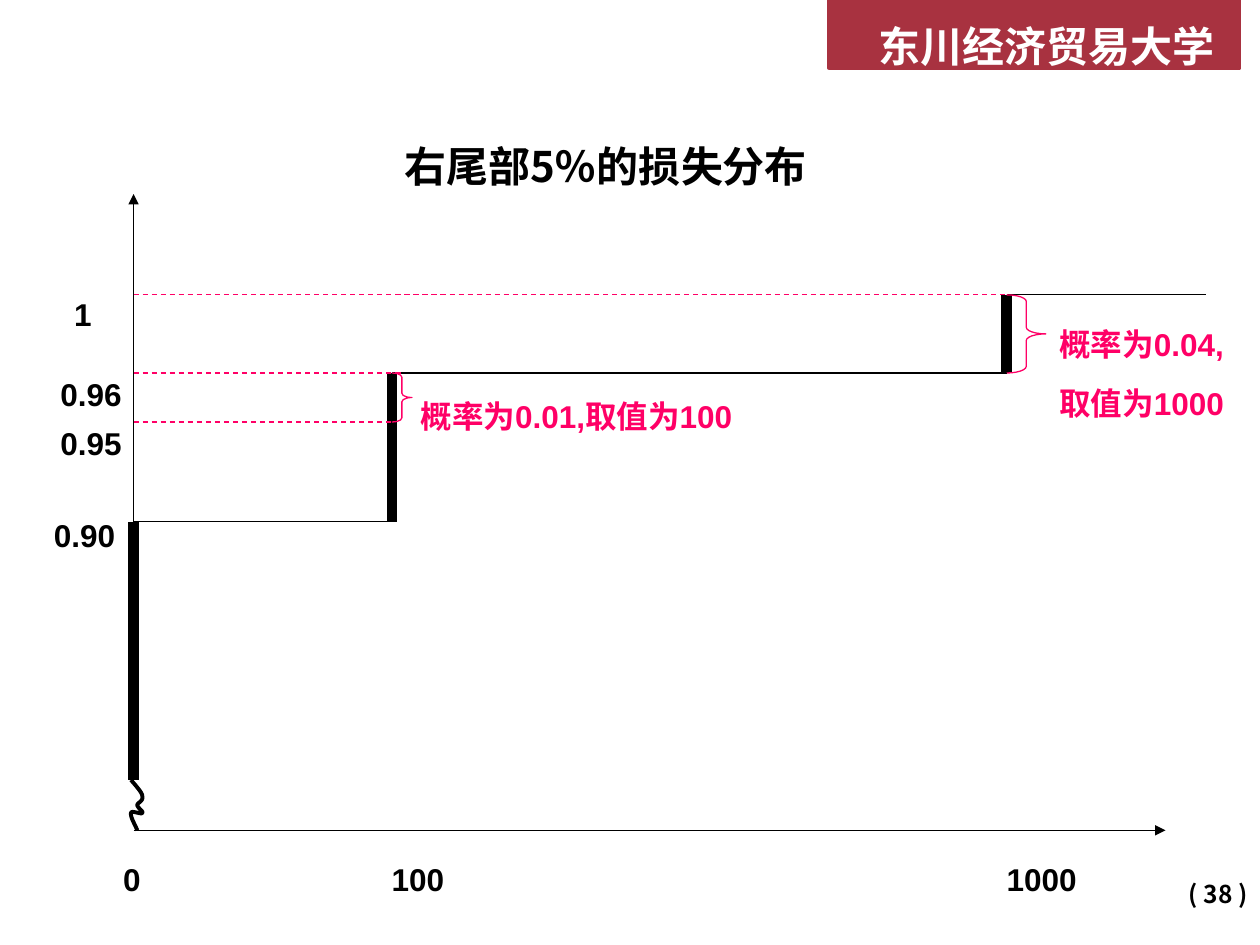
from dataclasses import dataclass
from typing import NamedTuple

from lxml.etree import SubElement
from pptx import Presentation
from pptx.dml.color import RGBColor
from pptx.enum.dml import MSO_LINE_DASH_STYLE as Dash
from pptx.enum.shapes import MSO_CONNECTOR as Connector, MSO_SHAPE as Shape
from pptx.enum.text import MSO_ANCHOR as Anchor, PP_ALIGN as Align
from pptx.oxml.ns import qn
from pptx.util import Inches, Pt


@dataclass(frozen=True)
class Theme:
    ink: RGBColor = RGBColor(0, 0, 0)
    accent: RGBColor = RGBColor(0xFF, 0x00, 0x66)
    banner: RGBColor = RGBColor(0xA8, 0x32, 0x40)
    white: RGBColor = RGBColor(0xFF, 0xFF, 0xFF)
    latin: str = "Arial"
    chinese: str = "Noto Sans CJK SC"
    heading: float = 24
    label: float = 18
    page: float = 14
    thin: float = 0.75
    squiggle: float = 2.25
    jump: float = 6


class Point(NamedTuple):
    x: float
    y: float


class Box(NamedTuple):
    left: float
    top: float
    width: float
    height: float

    def lengths(self) -> list:
        return [Inches(value) for value in self]


class Segment(NamedTuple):
    start: Point
    end: Point
    color: RGBColor = Theme.ink
    weight: float = Theme.thin
    dashed: bool = False
    arrow: bool = False


class Label(NamedTuple):
    text: str
    box: Box


class Brace(NamedTuple):
    box: Box
    curl: float


def add_text(slide, text: str, box: Box, *, size=Theme.label, color=Theme.ink,
             font=Theme.latin, bold=True, wrap=True, align=Align.LEFT,
             anchor=Anchor.TOP, spacing=1.4, before=0.2) -> None:
    """Each line of text becomes a paragraph; before is a share of the size."""
    frame = slide.shapes.add_textbox(*box.lengths()).text_frame
    frame.word_wrap = wrap
    frame.vertical_anchor = anchor
    frame.text = text
    for paragraph in frame.paragraphs:
        paragraph.alignment = align
        paragraph.line_spacing = spacing
        paragraph.space_before = Pt(size * before)
        for run in paragraph.runs:
            run.font.name = font
            run.font.size = Pt(size)
            run.font.bold = bold
            run.font.color.rgb = color
            SubElement(run.font._element, qn("a:ea"), typeface=Theme.chinese)


def add_segment(slide, segment: Segment) -> None:
    ends = [Inches(value) for value in (*segment.start, *segment.end)]
    connector = slide.shapes.add_connector(Connector.STRAIGHT, *ends)
    connector.line.color.rgb = segment.color
    connector.line.width = Pt(segment.weight)
    if segment.dashed:
        connector.line.dash_style = Dash.DASH
    if segment.arrow:
        SubElement(connector.line._get_or_add_ln(), qn("a:tailEnd"), type="triangle")
    SubElement(connector._element.spPr, qn("a:effectLst"))


def add_brace(slide, brace: Brace) -> None:
    shape = slide.shapes.add_shape(Shape.RIGHT_BRACE, *brace.box.lengths())
    shape.adjustments[0] = brace.curl
    shape.adjustments[1] = 0.5
    shape.shadow.inherit = False
    shape.fill.background()
    shape.line.color.rgb = Theme.accent
    shape.line.width = Pt(Theme.thin)


def add_banner(slide, box: Box) -> None:
    shape = slide.shapes.add_shape(Shape.RECTANGLE, *box.lengths())
    shape.shadow.inherit = False
    shape.fill.solid()
    shape.fill.fore_color.rgb = Theme.banner
    shape.line.color.rgb = Theme.banner
    shape.line.width = Pt(2)


def bezier(p0: Point, p1: Point, p2: Point, p3: Point, t: float) -> Point:
    s = 1 - t
    weights = (s**3, 3 * s * s * t, 3 * s * t * t, t**3)
    return Point(*(sum(w * v for w, v in zip(weights, axis))
                   for axis in zip(p0, p1, p2, p3)))


def add_curve(slide, knots: list[Point], steps: int = 10) -> None:
    """Draw chained cubic curves: a start, then three points per curve."""
    curve = [bezier(*knots[i:i + 4], step / steps)
             for i in range(0, len(knots) - 1, 3) for step in range(steps + 1)]
    start, *rest = [(Inches(point.x), Inches(point.y)) for point in curve]
    builder = slide.shapes.build_freeform(*start)
    builder.add_line_segments(rest, close=False)
    shape = builder.convert_to_shape()
    shape.shadow.inherit = False
    shape.fill.background()
    shape.line.color.rgb = Theme.ink
    shape.line.width = Pt(Theme.squiggle)


X_ZERO, X_100, X_1000 = 1.06, 3.11, 7.99
Y_ONE, Y_096, Y_095, Y_090 = 2.34, 2.96, 3.35, 4.14
Y_BREAK, Y_AXIS = 6.19, 6.59

SEGMENTS = [
    Segment(Point(X_ZERO, Y_AXIS), Point(9.25, Y_AXIS), arrow=True),
    Segment(Point(X_ZERO, 5.95), Point(X_ZERO, 1.54), arrow=True),
    *(Segment(Point(left, y), Point(right, y)) for left, right, y in (
        (X_ZERO, X_100, Y_090), (X_100, X_1000, Y_096), (X_1000, 9.57, Y_ONE))),
    *(Segment(Point(x, top), Point(x, bottom), weight=Theme.jump) for x, top, bottom in (
        (X_ZERO, Y_090, Y_BREAK), (X_100, Y_096, Y_090), (X_1000, Y_ONE, Y_096))),
    *(Segment(Point(X_ZERO, y), Point(right, y), Theme.accent, dashed=True)
      for right, y in ((X_100, Y_095), (3.19, Y_096), (X_1000, Y_ONE))),
]
AXIS_LABELS = [
    Label("1", Box(0.49, 2.17, 0.34, 0.53)),
    Label("0.96", Box(0.38, 2.81, 0.69, 0.53)),
    Label("0.95", Box(0.38, 3.2, 0.69, 0.53)),
    Label("0.90", Box(0.33, 3.93, 0.69, 0.53)),
    Label("0", Box(0.88, 6.66, 0.34, 0.48)),
    Label("100", Box(3.01, 6.66, 0.62, 0.48)),
    Label("1000", Box(7.89, 6.66, 0.76, 0.48)),
]
BRACES = [
    Brace(Box(X_100, Y_096, 0.16, Y_095 - Y_096), 0.21),
    Brace(Box(X_1000, Y_ONE, 0.31, Y_096 - Y_ONE), 0.17),
]
TAIL_NOTES = [
    Label("概率为0.01,取值为100", Box(3.24, 2.98, 2.71, 0.53)),
    Label("概率为0.04,\n取值为1000", Box(8.31, 2.41, 1.53, 1.01)),
]
AXIS_BREAK = [Point(*pair) for pair in (
    (1.04, 6.19), (1.08, 6.24), (1.13, 6.29), (1.13, 6.32),
    (1.14, 6.36), (1.09, 6.37), (1.09, 6.39),
    (1.09, 6.41), (1.14, 6.44), (1.13, 6.45),
    (1.13, 6.47), (1.05, 6.43), (1.04, 6.45),
    (1.03, 6.48), (1.08, 6.56), (1.09, 6.59))]


def main() -> None:
    deck = Presentation()
    deck.slide_width, deck.slide_height = Inches(10), Inches(7.5)
    slide = deck.slides.add_slide(deck.slide_layouts[6])

    add_banner(slide, Box(6.58, -0.02, 3.26, 0.56))
    add_text(slide, "东川经济贸易大学", Box(6.87, -0.05, 4.08, 0.62),
             size=Theme.heading, font=Theme.chinese, color=Theme.white)
    add_text(slide, "( 38 )", Box(7.67, 6.83, 2.33, 0.52), size=Theme.page,
             font=Theme.chinese, align=Align.RIGHT,
             anchor=Anchor.MIDDLE, spacing=1.0, before=0)
    add_text(slide, "右尾部5％的损失分布", Box(3.11, 0.91, 3.44, 0.67),
             size=Theme.heading, font=Theme.chinese)
    for segment in SEGMENTS:
        add_segment(slide, segment)
    for label in AXIS_LABELS:
        add_text(slide, label.text, label.box, wrap=False)
    for brace in BRACES:
        add_brace(slide, brace)
    for note in TAIL_NOTES:
        add_text(slide, note.text, note.box, color=Theme.accent)
    add_curve(slide, AXIS_BREAK)
    deck.save("out.pptx")


if __name__ == "__main__":
    main()
